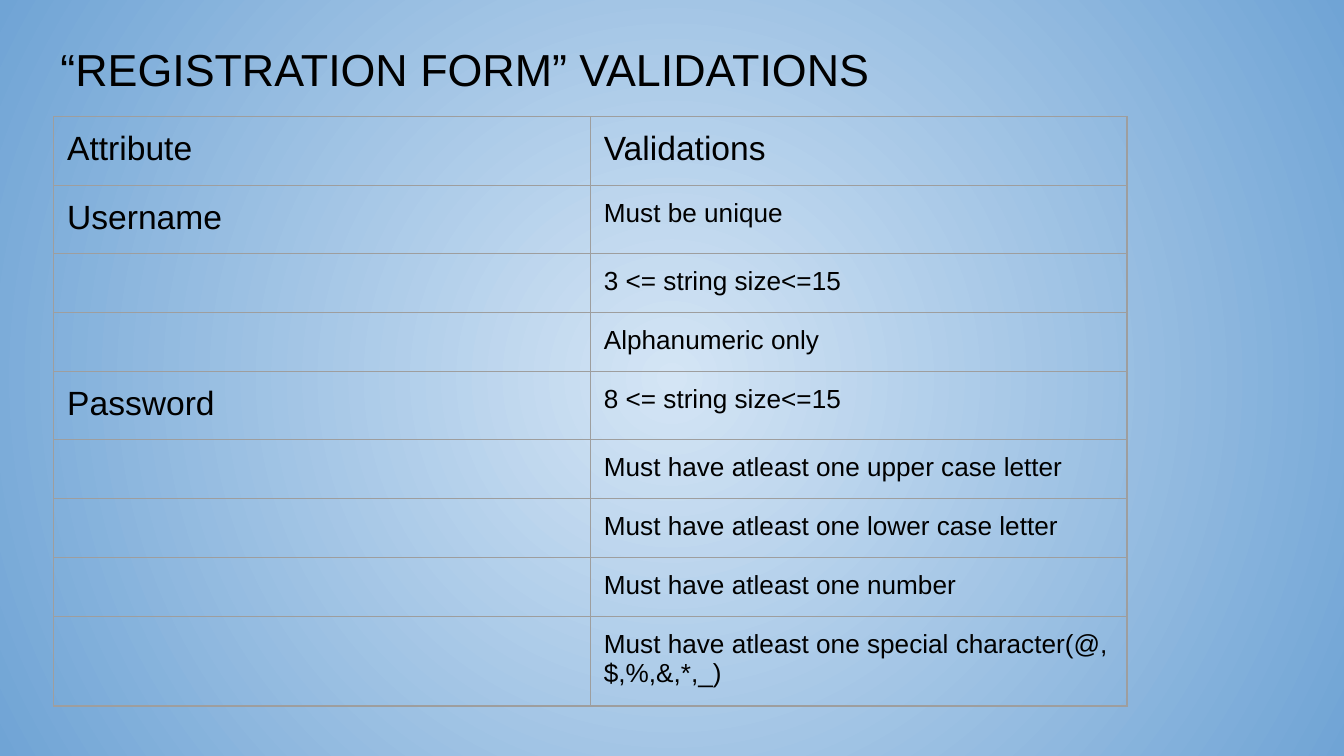
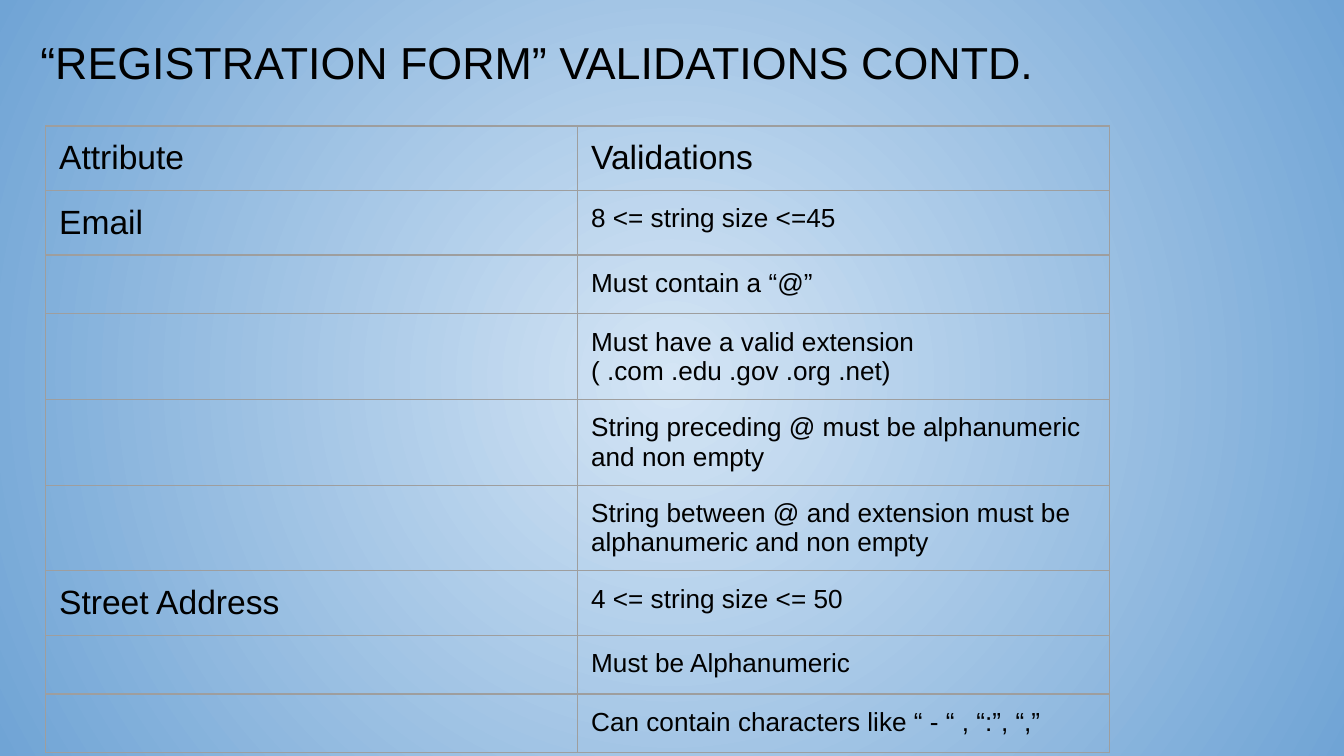
from lxml.etree import SubElement
from pptx import Presentation
from pptx.dml.color import RGBColor
from pptx.enum.text import MSO_ANCHOR as Anchor, MSO_AUTO_SIZE as AutoSize, PP_ALIGN as Align
from pptx.oxml.ns import qn
from pptx.util import Pt

COLORS = {"text": "000000", "border": "9E9E9E", "center": "D4E5F5", "edge": "70A4D5"}
FONT = "Arial"
INSET = Pt(7.2)
TITLE_SIZE, LABEL_SIZE, RULE_SIZE = 24, 18, 14
HEADER = ("Attribute", "Validations")

SLIDES = [
    {
        "title": "“REGISTRATION FORM” VALIDATIONS",
        "title_box": (25.2, 15.1, 593.3, 34.6),
        "table_at": (28.8, 62.6),
        "column": 287.5,
        "heights": [36.7, 36.7, 31.5, 31.5, 36.7, 31.5, 31.5, 31.5, 48.2],
        "rules": {
            "Username": ["Must be unique", "3 <= string size<=15", "Alphanumeric only"],
            "Password": [
                "8 <= string size<=15",
                "Must have atleast one upper case letter",
                "Must have atleast one lower case letter",
                "Must have atleast one number",
                "Must have atleast one special character(@,$,%,&,*,_)",
            ],
        },
    },
    {
        "title": "“REGISTRATION FORM” VALIDATIONS CONTD.",
        "title_box": (14.4, 11.5, 667.4, 36),
        "table_at": (24.5, 67.5),
        "column": 285,
        "heights": [30.2] * 9,
        "rules": {
            "Email": [
                "8 <= string size <=45",
                "Must contain a “@”",
                "Must have a valid extension ( .com .edu .gov .org .net)",
                "String preceding @ must be alphanumeric and non empty",
                "String between @ and extension must be alphanumeric and non empty",
            ],
            "Street Address": [
                "4 <= string size <= 50",
                "Must be Alphanumeric",
                "Can contain characters like “ - “ , “:”, “,”",
            ],
        },
    },
]


def write(para, text, size):
    para.alignment = Align.LEFT
    span = para.add_run()
    span.text = text
    span.font.name = FONT
    span.font.size = Pt(size)
    span.font.color.rgb = RGBColor.from_string(COLORS["text"])


def format_cell(cell):
    """Give a cell even insets, no fill and a thin line on each side."""
    cell.margin_left = cell.margin_right = INSET
    cell.margin_top = cell.margin_bottom = INSET
    cell.vertical_anchor = Anchor.TOP
    cell.fill.background()
    properties = cell._tc.get_or_add_tcPr()
    for index, side in enumerate(("a:lnL", "a:lnR", "a:lnT", "a:lnB")):
        line = SubElement(properties, qn(side), w=str(Pt(0.75)))
        fill = SubElement(line, qn("a:solidFill"))
        SubElement(fill, qn("a:srgbClr"), val=COLORS["border"])
        properties.insert(index, line)


deck = Presentation()
deck.slide_width, deck.slide_height = Pt(720), Pt(405)

# Radial background shared through the master
master = deck.slide_master
background = master.background.fill
background.gradient()
for stop, name in zip(background.gradient_stops, ("center", "edge")):
    stop.color.rgb = RGBColor.from_string(COLORS[name])
gradient = master.element.find(".//" + qn("a:gradFill"))
linear = gradient.find(qn("a:lin"))
if linear is not None:
    gradient.remove(linear)
circle = SubElement(gradient, qn("a:path"), path="circle")
SubElement(circle, qn("a:fillToRect"), l="50000", t="50000", r="50000", b="50000")

for content in SLIDES:
    page = deck.slides.add_slide(deck.slide_layouts[5])

    title = page.shapes.title
    title.left, title.top, title.width, title.height = map(Pt, content["title_box"])
    frame = title.text_frame
    frame.margin_left = frame.margin_right = INSET
    frame.margin_top = frame.margin_bottom = INSET
    frame.vertical_anchor = Anchor.TOP
    frame.auto_size = AutoSize.NONE
    frame.word_wrap = True
    write(frame.paragraphs[0], content["title"], TITLE_SIZE)

    # An attribute is named only beside its first rule
    rows = [HEADER]
    for attribute, rules in content["rules"].items():
        rows += [("" if index else attribute, rule) for index, rule in enumerate(rules)]

    left, top = content["table_at"]
    heights, column = content["heights"], content["column"]
    table = page.shapes.add_table(
        len(rows), 2, Pt(left), Pt(top), Pt(2 * column), Pt(sum(heights))
    ).table
    table.first_row = table.horz_banding = False
    for table_column in table.columns:
        table_column.width = Pt(column)

    for row_index, texts in enumerate(rows):
        table.rows[row_index].height = Pt(heights[row_index])
        for column_index, text in enumerate(texts):
            cell = table.cell(row_index, column_index)
            format_cell(cell)
            para = cell.text_frame.paragraphs[0]
            if text:
                is_label = row_index == 0 or column_index == 0
                write(para, text, LABEL_SIZE if is_label else RULE_SIZE)
            else:
                # Keeps an empty cell from stretching its row
                SubElement(para._p, qn("a:endParaRPr"), sz=str(RULE_SIZE * 100))

deck.save("out.pptx")
